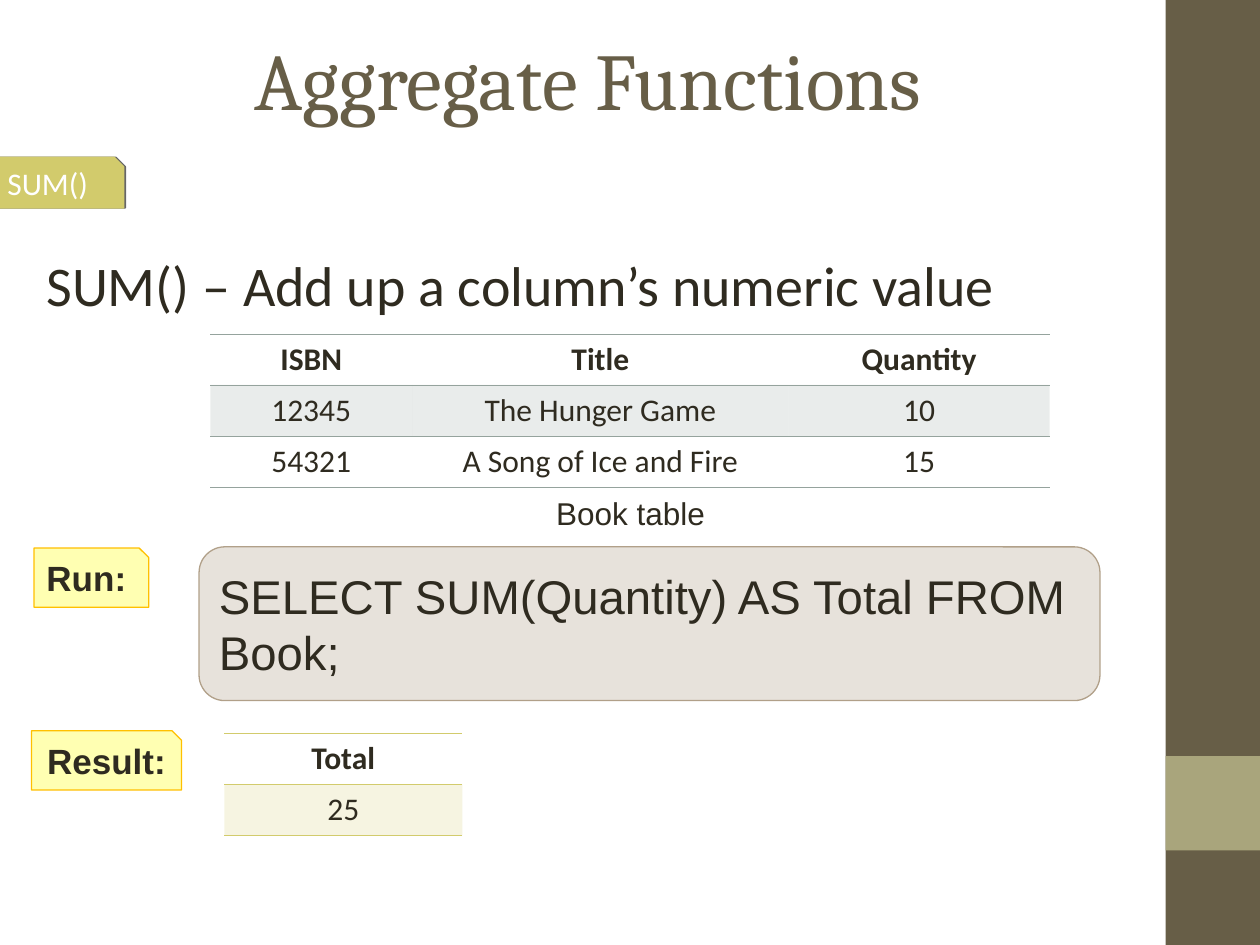
from lxml.etree import SubElement
from pptx import Presentation
from pptx.dml.color import RGBColor
from pptx.enum.shapes import MSO_SHAPE as Shape
from pptx.enum.text import MSO_ANCHOR as Anchor, PP_ALIGN as Align
from pptx.oxml.ns import qn
from pptx.util import Inches, Pt

COLORS = {
    "brown": "675E47", "olive": "A9A57C", "lime": "D2CB6C", "ink": "2F2B20",
    "white": "FFFFFF", "black": "000000", "taupe": "B1A089", "yellow": "FFFF00",
    "amber": "FFC000", "sage": "95A39D",
}
NO_STYLE = "{2D5ABB26-0587-4C30-8999-92F81FD0307C}"

presentation = Presentation()
presentation.slide_width = Inches(10)
presentation.slide_height = Inches(7.5)
column = presentation.slide_width / 100
row = presentation.slide_height / 75
slide = presentation.slides.add_slide(presentation.slide_layouts[6])
shapes = slide.shapes


def write(frame, text, size, font="Arial", color="ink", align=Align.LEFT, bold=False):
    frame.word_wrap = True
    paragraph = frame.paragraphs[0]
    paragraph.text = text
    paragraph.alignment = align
    paragraph.font.name = font
    paragraph.font.size = Pt(size)
    paragraph.font.bold = bold
    paragraph.font.color.rgb = RGBColor.from_string(COLORS[color])


def paint(item, color, opacity=100, line=None, width=0.75):
    item.fill.solid()
    item.fill.fore_color.rgb = RGBColor.from_string(COLORS[color])
    if opacity < 100:
        for tone in item.fill._xPr.iter(qn("a:srgbClr")):
            if tone.getparent().getparent() is item.fill._xPr:
                SubElement(tone, qn("a:alpha"), val=str(opacity * 1000))
    if line:
        item.line.color.rgb = RGBColor.from_string(COLORS[line])
        item.line.width = Pt(width)


for top, height, color in [(0, 75, "brown"), (60, 7.5, "olive")]:
    band = shapes.add_shape(Shape.RECTANGLE, int(92.5 * column), int(top * row),
                            int(7.5 * column), int(height * row))
    band.shadow.inherit = False
    band.line.fill.background()
    paint(band, color)

for left, top, width, height, anchor, text, size, font, color, align in [
    (5, 0, 83.3, 12.5, Anchor.MIDDLE, "Aggregate Functions", 46, "Cambria", "brown", Align.CENTER),
    (2.7, 19.4, 94.7, 11.8, Anchor.TOP, "SUM() – Add up a column’s numeric value", 32, "Calibri", "ink", Align.LEFT),
    (39, 38.7, 22.1, 4, Anchor.TOP, "Book table", 18, "Arial", "ink", Align.CENTER),
]:
    box = shapes.add_textbox(int(left * column), int(top * row), int(width * column), int(height * row))
    box.text_frame.vertical_anchor = anchor
    write(box.text_frame, text, size, font, color, align)

query = shapes.add_shape(Shape.ROUNDED_RECTANGLE, int(15.8 * column), int(43.4 * row),
                         int(71.5 * column), int(12.2 * row))
query.adjustments[0] = 0.167
query.shadow.inherit = False
paint(query, "taupe", 30, "taupe")
query.text_frame.vertical_anchor = Anchor.MIDDLE
write(query.text_frame, "SELECT SUM(Quantity) AS Total FROM Book;", 27)

snip = 0.75
for left, top, width, height, text, size, font, color, align, bold, style in [
    (-0.4, 12.5, 10.2, 4, "SUM()", 18, "Calibri", "white", Align.LEFT, False, ("lime", 100, "lime", 1)),
    (2.5, 58, 11.9, 4.7, "Result:", 20, "Arial", "ink", Align.CENTER, True, ("yellow", 30, "amber")),
    (2.7, 43.5, 9.1, 4.7, "Run:", 20, "Arial", "ink", Align.LEFT, True, ("yellow", 30, "amber")),
]:
    right, bottom = left + width, top + height
    outline = [(right - snip, top), (right, top + snip), (right, bottom), (left, bottom)]
    builder = shapes.build_freeform(int(left * column), int(top * row))
    builder.add_line_segments([(int(x * column), int(y * row)) for x, y in outline])
    tab = builder.convert_to_shape()
    tab.shadow.inherit = False
    paint(tab, *style)
    tab.text_frame.vertical_anchor = Anchor.MIDDLE
    write(tab.text_frame, text, size, font, color, align, bold)
    if text == "SUM()":
        effects = tab.element.spPr.find(qn("a:effectLst"))
        shadow = SubElement(effects, qn("a:outerShdw"), blurRad="0", dist=str(Pt(1)), dir="0")
        tone = SubElement(shadow, qn("a:srgbClr"), val=COLORS["black"])
        SubElement(tone, qn("a:alpha"), val="60000")

for left, top, widths, color, records in [
    (16.7, 26.5, (16, 29.9, 20.7), "sage", [
        ("ISBN", "Title", "Quantity"),
        ("12345", "The Hunger Game", "10"),
        ("54321", "A Song of Ice and Fire", "15"),
    ]),
    (17.8, 58.2, (18.9,), "lime", [("Total",), ("25",)]),
]:
    frame = shapes.add_table(len(records), len(widths), int(left * column), int(top * row),
                             int(sum(widths) * column), int(4.05 * row * len(records)))
    table = frame.table
    table.first_row = table.horz_banding = False
    for style_id in frame.element.iter(qn("a:tableStyleId")):
        style_id.text = NO_STYLE
    for index, width in enumerate(widths):
        table.columns[index].width = int(width * column)
    for row_index, record in enumerate(records):
        edges = {0: ["lnT", "lnB"], 1: ["lnT"]}.get(row_index, [])
        if row_index == len(records) - 1:
            edges = edges + ["lnB"]
        for column_index, text in enumerate(record):
            cell = table.cell(row_index, column_index)
            write(cell.text_frame, text, 18, "Calibri", align=Align.CENTER, bold=row_index == 0)
            properties = cell._tc.get_or_add_tcPr()
            for edge in edges:
                border = SubElement(properties, qn(f"a:{edge}"), w=str(Pt(0.45)))
                SubElement(SubElement(border, qn("a:solidFill")), qn("a:srgbClr"), val=COLORS[color])
            if row_index == 1:
                paint(cell, color, 20)
            else:
                cell.fill.background()

presentation.save("out.pptx")
